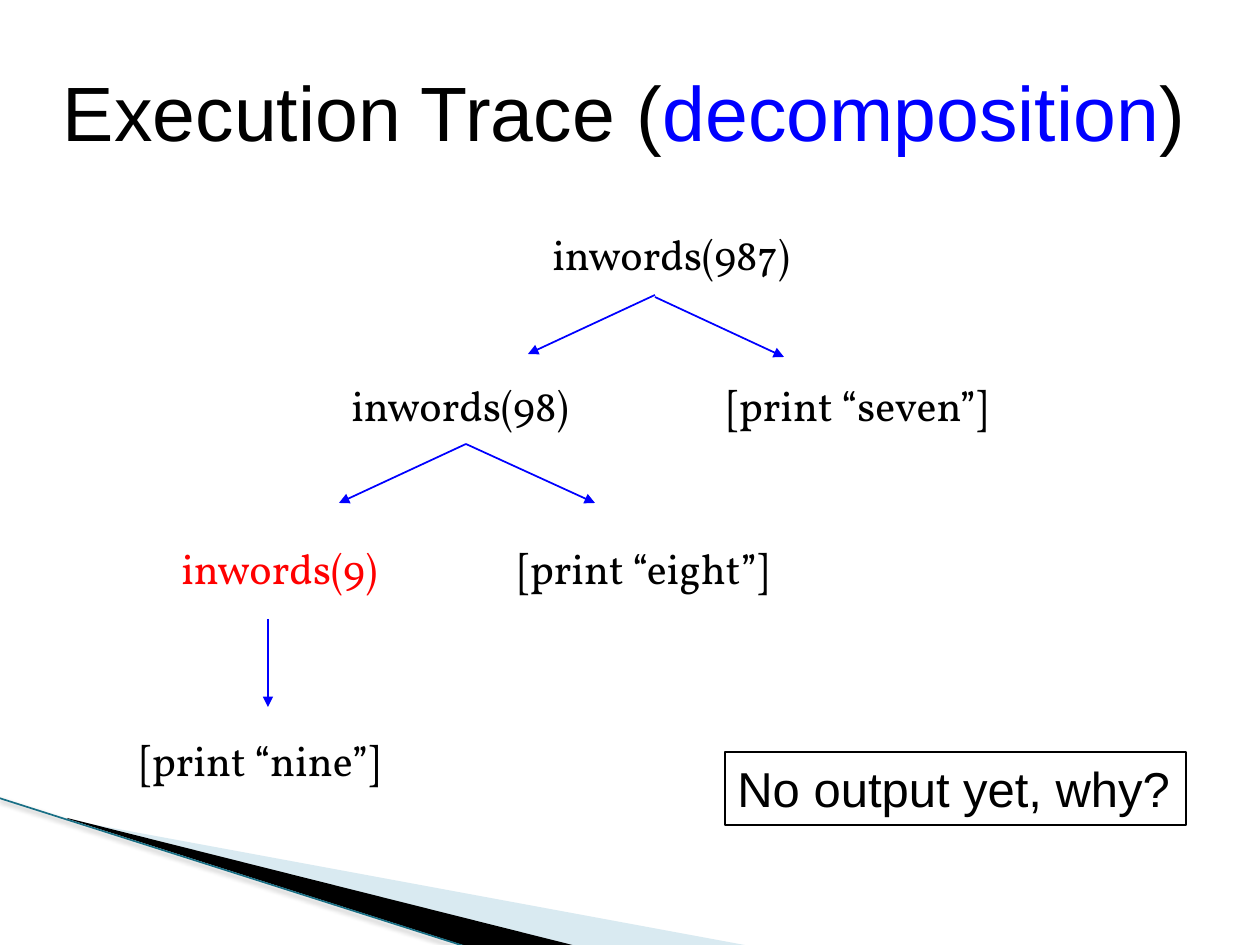
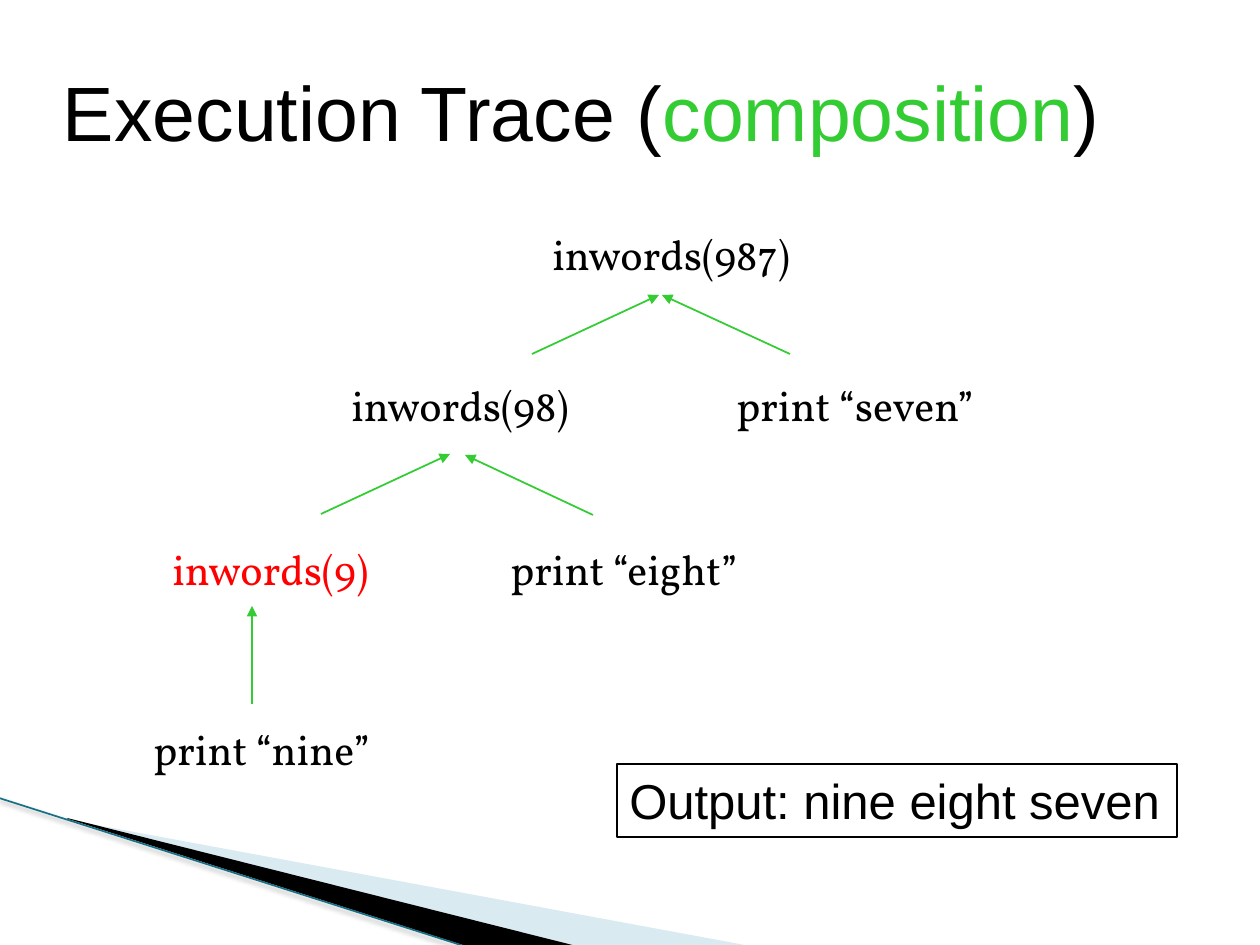
from lxml import etree
from pptx import Presentation
from pptx.dml.color import RGBColor
from pptx.enum.shapes import MSO_CONNECTOR, MSO_SHAPE
from pptx.enum.text import MSO_ANCHOR
from pptx.oxml.ns import qn
from pptx.util import Emu, Pt

STRAIGHT = MSO_CONNECTOR.STRAIGHT
RECTANGLE = MSO_SHAPE.RECTANGLE
MIDDLE = MSO_ANCHOR.MIDDLE
TOP = MSO_ANCHOR.TOP

# Shared look
SCALE = 914400 / 126
SLIDE_WIDTH, SLIDE_HEIGHT = 1260, 945
BLACK, RED, BLUE, GREEN = "000000", "FF0000", "0000FF", "33CC33"
PALE_BLUE, TEAL = "A0CBDC", "196F85"
HEADING_FONT, TREE_FONT = "Arial", "Vollkorn"
NODE_WIDTH, NODE_HEIGHT = 300, 63

# Each call or print: text, left, top; each arrow: start x, y, end x, y
DECOMPOSITION = {
    "title": "decomposition",
    "color": BLUE,
    "nodes": [
        ("inwords(987)", 540, 222),
        ("inwords(98)", 339, 373),
        ("[print “seven”]", 715, 373),
        ("inwords(9)", 169, 536),
        ("[print “eight”]", 506, 536),
        ("[print “nine”]", 128, 728),
    ],
    "arrows": [
        (655, 295, 528, 354),
        (655, 297, 784, 357),
        (466, 444, 339, 503),
        (466, 444, 595, 503),
        (268, 619, 268, 707),
    ],
    "result": ("No output yet, why?", 725, 752, 461),
}
COMPOSITION = {
    "title": "composition",
    "color": GREEN,
    "nodes": [
        ("inwords(987)", 540, 222),
        ("inwords(98)", 339, 373),
        ("print “seven”", 724, 373),
        ("inwords(9)", 160, 537),
        ("print “eight”", 498, 537),
        ("print “nine”", 141, 717),
    ],
    "arrows": [
        (790, 354, 662, 295),
        (532, 354, 659, 295),
        (321, 514, 450, 454),
        (593, 515, 465, 455),
        (252, 704, 252, 606),
    ],
    "result": ("Output: nine eight seven", 617, 764, 560),
}


def px(length):
    return Emu(round(length * SCALE))


def rgb(color):
    return RGBColor.from_string(color)


def write_text(shape, runs, font_name, size, anchor=TOP):
    """Fill a shape with one paragraph made of (text, color) runs."""
    frame = shape.text_frame
    frame.word_wrap = True
    frame.vertical_anchor = anchor
    paragraph = frame.paragraphs[0]
    paragraph.font.name = font_name
    paragraph.font.size = Pt(size)
    for text, color in runs:
        run = paragraph.add_run()
        run.text = text
        run.font.color.rgb = rgb(color)
    return paragraph


def add_text(slide, box, runs, font_name, size):
    shape = slide.shapes.add_textbox(*map(px, box))
    write_text(shape, runs, font_name, size)
    return shape


def add_title(slide, word, color):
    shape = slide.shapes.add_textbox(px(63), px(38), px(1134), px(158))
    frame = shape.text_frame
    frame.margin_left = frame.margin_right = 0
    frame.margin_top = frame.margin_bottom = 0
    runs = [("Execution Trace (", BLACK), (word, color), (")", BLACK)]
    paragraph = write_text(shape, runs, HEADING_FONT, 44, MIDDLE)
    paragraph.line_spacing = 0.9


def add_line(slide, ends, color, width=1):
    """Draw a line and return it with its empty effect list."""
    line = slide.shapes.add_connector(STRAIGHT, *map(px, ends))
    line.line.color.rgb = rgb(color)
    line.line.width = Pt(width)
    effects = etree.SubElement(line._element.spPr, qn("a:effectLst"))
    return line, effects


def add_arrow(slide, ends, color):
    arrow, _ = add_line(slide, ends, color)
    outline = arrow.line._get_or_add_ln()
    etree.SubElement(outline, qn("a:tailEnd"), type="triangle")


def add_wedge(slide, points, color, opacity=100):
    builder = slide.shapes.build_freeform(*points[0], scale=SCALE)
    builder.add_line_segments(points[1:], close=True)
    wedge = builder.convert_to_shape()
    wedge.shadow.inherit = False
    wedge.line.fill.background()
    wedge.fill.solid()
    wedge.fill.fore_color.rgb = rgb(color)
    if opacity < 100:
        color_element = wedge._element.spPr.find(".//" + qn("a:srgbClr"))
        etree.SubElement(color_element, qn("a:alpha"), val=str(opacity * 1000))


def add_corner_bands(slide):
    add_wedge(slide, [(69, 820), (750, 946), (575, 946), (69, 819)], PALE_BLUE, 40)
    add_wedge(slide, [(67, 818), (576, 946), (469, 947), (68, 819)], BLACK)
    _, effects = add_line(slide, (-1, 798, 467, 947), TEAL, 0.96)
    shadow = etree.SubElement(
        effects, qn("a:outerShdw"), blurRad=str(Pt(3.1)), dist=str(Pt(1.6)),
        dir="5400000", algn="tl", rotWithShape="0")
    shadow_color = etree.SubElement(shadow, qn("a:srgbClr"), val=BLACK)
    etree.SubElement(shadow_color, qn("a:alpha"), val="38000")


def add_result_box(slide, text, left, top, width):
    box = slide.shapes.add_shape(RECTANGLE, px(left), px(top), px(width), px(73))
    box.shadow.inherit = False
    box.fill.background()
    box.line.color.rgb = rgb(BLACK)
    box.line.width = Pt(1)
    paragraph = write_text(box, [(text, BLACK)], HEADING_FONT, 28)
    paragraph.alignment = None


def add_trace_slide(presentation, trace):
    slide = presentation.slides.add_slide(presentation.slide_layouts[6])
    add_corner_bands(slide)
    add_title(slide, trace["title"], trace["color"])
    # Call tree, with the base case in red
    for text, left, top in trace["nodes"]:
        color = RED if text == "inwords(9)" else BLACK
        box = (left, top, NODE_WIDTH, NODE_HEIGHT)
        add_text(slide, box, [(text, color)], TREE_FONT, 24)
    for ends in trace["arrows"]:
        add_arrow(slide, ends, trace["color"])
    add_result_box(slide, *trace["result"])


def main():
    presentation = Presentation()
    presentation.slide_width = px(SLIDE_WIDTH)
    presentation.slide_height = px(SLIDE_HEIGHT)
    for trace in (DECOMPOSITION, COMPOSITION):
        add_trace_slide(presentation, trace)
    presentation.save("out.pptx")


if __name__ == "__main__":
    main()
